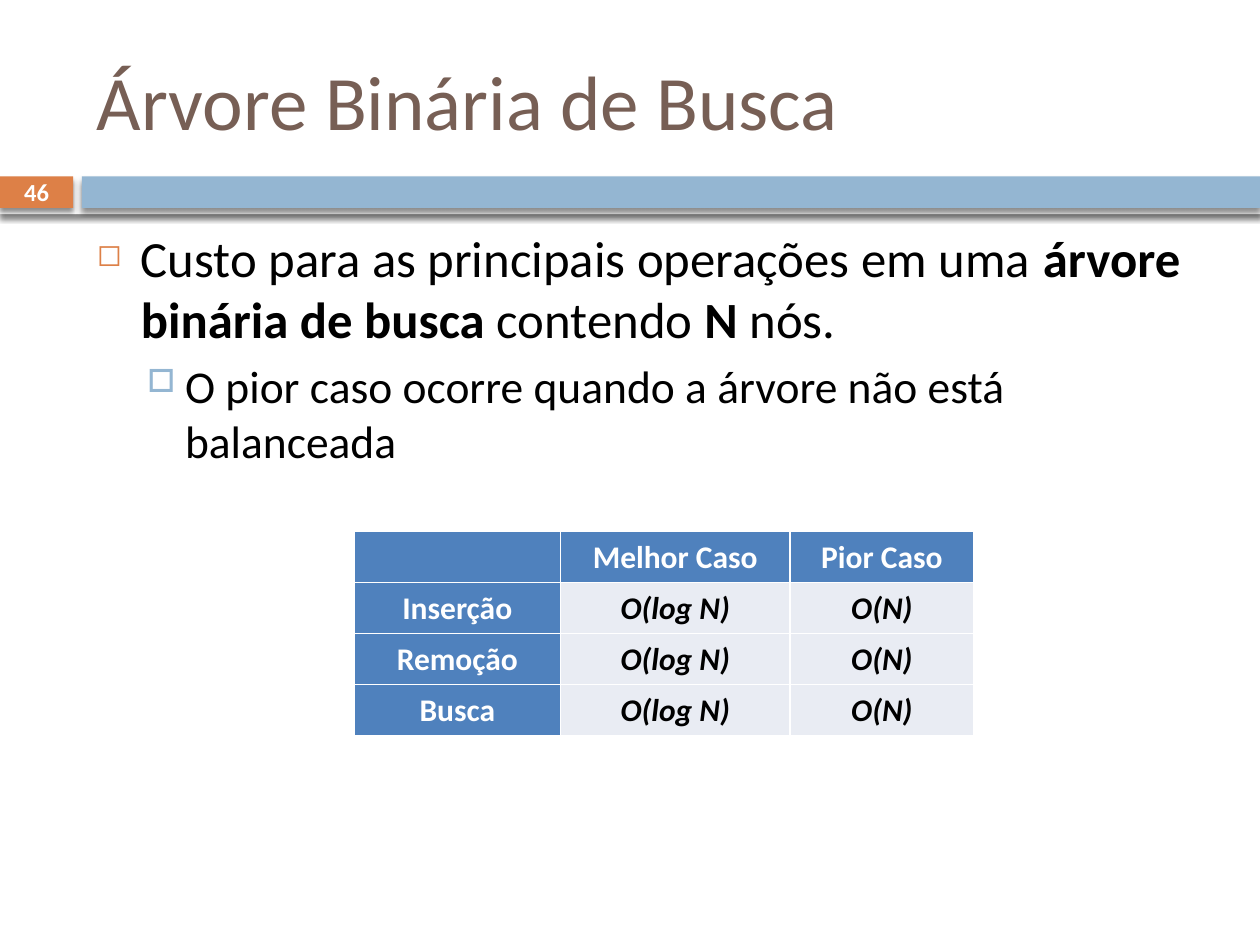
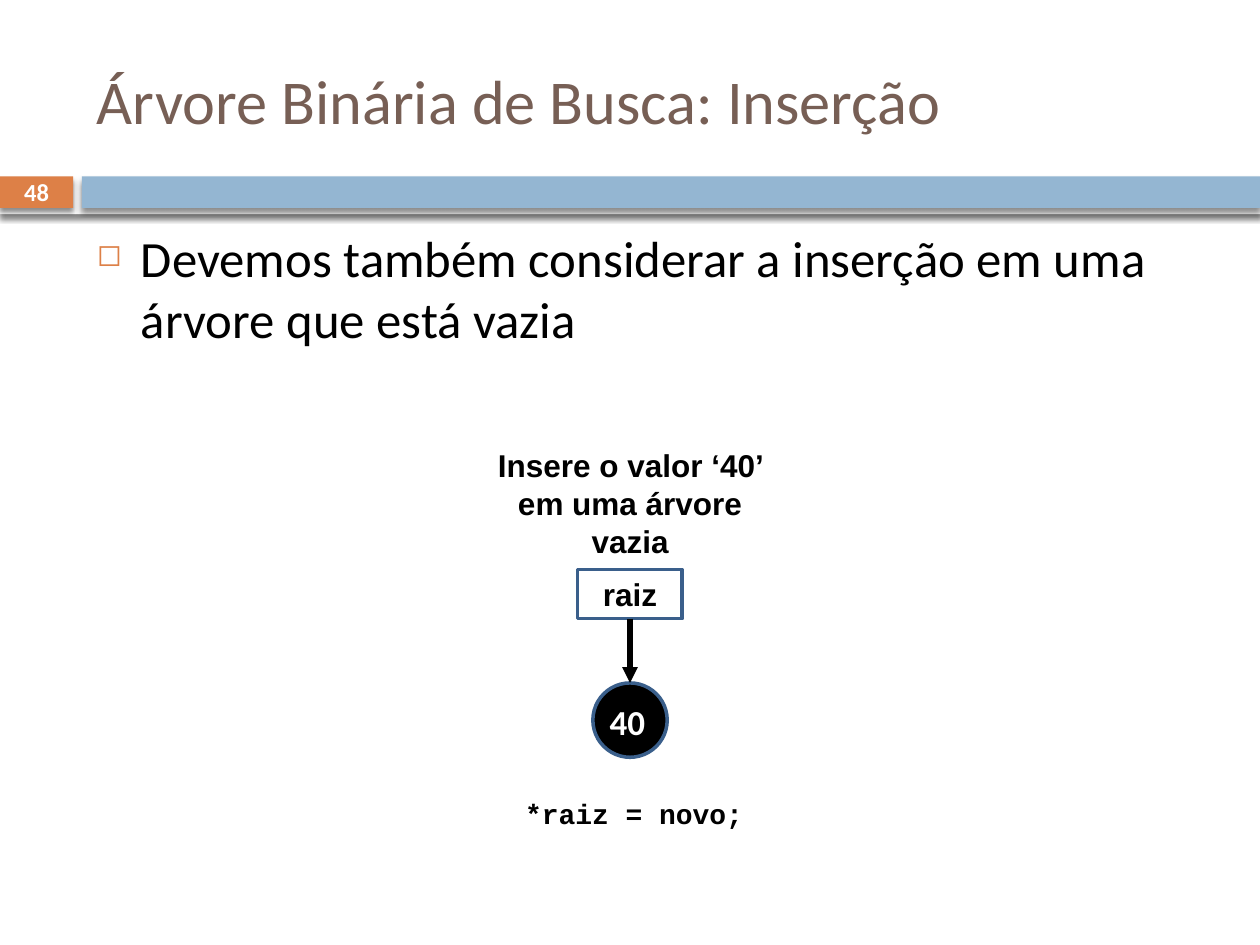
"""Build two slides about the cost of, and insertion into, a binary search tree."""
from dataclasses import dataclass
from typing import NamedTuple

from lxml import etree
from pptx import Presentation
from pptx.dml.color import RGBColor
from pptx.enum.shapes import MSO_CONNECTOR, MSO_SHAPE
from pptx.enum.text import MSO_ANCHOR, PP_ALIGN
from pptx.oxml.ns import qn
from pptx.util import Emu, Inches, Pt

RECTANGLE, OVAL = MSO_SHAPE.RECTANGLE, MSO_SHAPE.OVAL
STRAIGHT = MSO_CONNECTOR.STRAIGHT
TOP, MIDDLE = MSO_ANCHOR.TOP, MSO_ANCHOR.MIDDLE
LEFT, CENTER = PP_ALIGN.LEFT, PP_ALIGN.CENTER
SIDE_TOP, SIDE_BOTTOM = 0, 2
GRID_COLUMNS, GRID_ROWS = 100, 75
SLIDE_WIDTH, SLIDE_HEIGHT = Inches(10), Inches(7.5)


@dataclass(frozen=True)
class Theme:
    """Colours, fonts, type sizes and line widths of the deck."""
    white: str = "FFFFFF"
    black: str = "000000"
    title: str = "775F55"
    orange: str = "DD8047"
    blue: str = "94B6D2"
    header: str = "4F81BD"
    cell: str = "E9ECF3"
    outline: str = "3A5F8B"
    text_font: str = "Calibri"
    label_font: str = "Arial"
    code_font: str = "Courier New"
    title_size: float = 44
    long_title_size: float = 35.6
    body_size: float = 29
    detail_size: float = 26
    node_size: float = 20
    label_size: float = 18
    code_size: float = 16
    number_size: float = 14
    outline_width: float = 2
    arrow_width: float = 3
    border_width: float = 0.96


THEME = Theme()


class Area(NamedTuple):
    """A place on the grid, in columns and rows."""
    column: float
    row: float
    columns: float
    rows: float

    def box(self) -> tuple:
        """Return left, top, width and height as lengths."""
        return (across(self.column), down(self.row),
                across(self.columns), down(self.rows))


class Style(NamedTuple):
    """The look of a run of text."""
    size: float
    color: str = THEME.black
    font: str = THEME.text_font
    bold: bool = False
    italic: bool = False


class Bullet(NamedTuple):
    """A bullet level: mark, colour, percentage, indents and gap above."""
    level: int
    mark: str
    color: str
    percent: int
    margin: float
    hanging: float
    gap: float
    style: Style


class Item(NamedTuple):
    """A bulleted paragraph of (text, bold) runs."""
    bullet: Bullet
    runs: tuple


class Label(NamedTuple):
    """A free text with its place and look."""
    text: str
    area: Area
    style: Style
    alignment: PP_ALIGN = LEFT
    anchor: MSO_ANCHOR = TOP


class Band(NamedTuple):
    """A shadowed strip below the title."""
    area: Area
    color: str


BANDS = (
    Band(Area(0, 13.5, 100, 3.5), THEME.white),
    Band(Area(0, 14, 5.8, 2.5), THEME.orange),
    Band(Area(6.5, 14, 93.5, 2.5), THEME.blue),
)
TITLE_AREA = Area(6.7, 2.5, 89.2, 10.8)
BODY_AREA = Area(6.7, 17.5, 89.2, 49.2)
NUMBER_AREA = Area(0, 13.9, 5.8, 2.7)
NUMBER_STYLE = Style(THEME.number_size, THEME.white, bold=True)

TOPIC = Bullet(0, "◻", THEME.orange, 60, 3.5, 3.5, 0, Style(THEME.body_size))
DETAIL = Bullet(1, "□", THEME.blue, 70, 7, 3, 5.5, Style(THEME.detail_size))

COST_ITEMS = (
    Item(TOPIC, (("Custo para as principais operações em uma ", False),
                 ("árvore binária de busca", True), (" contendo ", False),
                 ("N ", True), ("nós.", False))),
    Item(DETAIL, (("O pior caso ocorre quando a árvore não está balanceada", False),)),
)
COST_ROWS = (("", "Melhor Caso", "Pior Caso"),) + tuple(
    (operation, "O(log N)", "O(N)") for operation in ("Inserção", "Remoção", "Busca"))
COST_AREA = Area(28.1, 42.2, 49.2, 16.2)
COST_COLUMNS = (16.4, 18.2, 14.6)
HEADER_STYLE = Style(THEME.label_size, THEME.white, bold=True)
COST_STYLE = Style(THEME.label_size, bold=True, italic=True)

EMPTY_TREE_ITEMS = (
    Item(TOPIC, (("Devemos também considerar a inserção em uma árvore que está vazia", False),)),
)
LABEL_STYLE = Style(THEME.label_size, font=THEME.label_font, bold=True)
NODE_AREA = Area(47.05, 54.2, 5.9, 5.9)
ROOT_AREA = Area(45.85, 45.2, 8.3, 3.9)
TREE_LABELS = (
    Label("40", Area(47.4, 55.1, 5.1, 7.6),
          Style(THEME.node_size, THEME.white, bold=True)),
    Label("*raiz = novo;", Area(40.7, 62.7, 19.5, 3.6),
          Style(THEME.code_size, font=THEME.code_font, bold=True)),
    Label("Insere o valor ‘40’ em uma árvore vazia",
          Area(37.4, 34.9, 25.2, 10), LABEL_STYLE, CENTER),
)


def across(columns: float) -> Emu:
    """Turn grid columns into a length."""
    return Emu(round(SLIDE_WIDTH * columns / GRID_COLUMNS))


def down(rows: float) -> Emu:
    """Turn grid rows into a length."""
    return Emu(round(SLIDE_HEIGHT * rows / GRID_ROWS))


def add_element(parent, tag: str, **attributes):
    """Append a drawing element to its parent."""
    return etree.SubElement(parent, qn(tag), attributes)


def add_run(paragraph, text: str, style: Style) -> None:
    """Add one styled run to a paragraph."""
    run = paragraph.add_run()
    run.text = text
    run.font.name = style.font
    run.font.size = Pt(style.size)
    run.font.bold = style.bold
    run.font.italic = style.italic
    run.font.color.rgb = RGBColor.from_string(style.color)


def add_label(slide, label: Label) -> None:
    """Add a wrapped text box holding one run."""
    frame = slide.shapes.add_textbox(*label.area.box()).text_frame
    frame.word_wrap = True
    frame.vertical_anchor = label.anchor
    frame.paragraphs[0].alignment = label.alignment
    add_run(frame.paragraphs[0], label.text, label.style)


def add_outlined(slide, preset: MSO_SHAPE, area: Area):
    """Add an unfilled shape with the diagram's outline."""
    shape = slide.shapes.add_shape(preset, *area.box())
    shape.shadow.inherit = False
    shape.fill.background()
    shape.line.color.rgb = RGBColor.from_string(THEME.outline)
    shape.line.width = Pt(THEME.outline_width)
    return shape


def add_band(slide, band: Band) -> None:
    """Add a strip with a soft shadow below it."""
    shape = slide.shapes.add_shape(RECTANGLE, *band.area.box())
    shape.fill.solid()
    shape.fill.fore_color.rgb = RGBColor.from_string(band.color)
    shape.line.fill.background()
    shape.shadow.inherit = False
    effects = shape._element.spPr.find(qn("a:effectLst"))
    shadow = add_element(effects, "a:outerShdw", blurRad=str(Pt(3)), dist=str(Pt(2.4)),
                         dir="5400000", rotWithShape="0")
    color = add_element(shadow, "a:srgbClr", val=THEME.black)
    add_element(color, "a:alpha", val="45000")


def add_items(slide, items: tuple) -> None:
    """Add the bulleted body text."""
    frame = slide.shapes.add_textbox(*BODY_AREA.box()).text_frame
    frame.word_wrap = True
    for index, item in enumerate(items):
        paragraph = frame.add_paragraph() if index else frame.paragraphs[0]
        bullet = item.bullet
        paragraph.level = bullet.level
        properties = paragraph._p.get_or_add_pPr()
        properties.set("marL", str(across(bullet.margin)))
        properties.set("indent", str(-across(bullet.hanging)))
        color = add_element(properties, "a:buClr")
        add_element(color, "a:srgbClr", val=bullet.color)
        add_element(properties, "a:buSzPct", val=str(bullet.percent * 1000))
        add_element(properties, "a:buChar", char=bullet.mark)
        paragraph.space_before = Pt(bullet.gap)
        for text, bold in item.runs:
            add_run(paragraph, text, bullet.style._replace(bold=bold))


def add_page(presentation, title: str, size: float, number: str, items: tuple):
    """Add a slide with bands, title, body text and number."""
    slide = presentation.slides.add_slide(presentation.slide_layouts[6])
    for band in BANDS:
        add_band(slide, band)
    add_label(slide, Label(title, TITLE_AREA, Style(size, THEME.title), anchor=MIDDLE))
    add_items(slide, items)
    add_label(slide, Label(number, NUMBER_AREA, NUMBER_STYLE, CENTER, MIDDLE))
    return slide


def fill_cell(cell, text: str, is_header: bool) -> None:
    """Give a table cell its borders, fill and text."""
    properties = cell._tc.get_or_add_tcPr()
    for side in ("a:lnL", "a:lnR", "a:lnT", "a:lnB"):
        border = add_element(properties, side, w=str(Pt(THEME.border_width)))
        add_element(add_element(border, "a:solidFill"), "a:srgbClr", val=THEME.white)
    cell.fill.solid()
    cell.fill.fore_color.rgb = RGBColor.from_string(THEME.header if is_header else THEME.cell)
    paragraph = cell.text_frame.paragraphs[0]
    paragraph.alignment = CENTER
    if text:
        add_run(paragraph, text, HEADER_STYLE if is_header else COST_STYLE)


def add_cost_table(slide) -> None:
    """Add the table of best and worst cases."""
    table = slide.shapes.add_table(len(COST_ROWS), len(COST_COLUMNS), *COST_AREA.box()).table
    table.horz_banding = False
    table.first_col = True
    for column, columns in zip(table.columns, COST_COLUMNS):
        column.width = across(columns)
    for row_index, texts in enumerate(COST_ROWS):
        for column_index, text in enumerate(texts):
            fill_cell(table.cell(row_index, column_index), text,
                      row_index == 0 or column_index == 0)


def add_tree(slide) -> None:
    """Add the root pointer, its arrow and the new node."""
    node = add_outlined(slide, OVAL, NODE_AREA)
    node.fill.solid()
    node.fill.fore_color.rgb = RGBColor.from_string(THEME.black)
    root = add_outlined(slide, RECTANGLE, ROOT_AREA)
    root.text_frame.vertical_anchor = MIDDLE
    root.text_frame.paragraphs[0].alignment = CENTER
    add_run(root.text_frame.paragraphs[0], "raiz", LABEL_STYLE)
    arrow = slide.shapes.add_connector(STRAIGHT, 0, 0, 0, 0)
    arrow.begin_connect(root, SIDE_BOTTOM)
    arrow.end_connect(node, SIDE_TOP)
    arrow.line.color.rgb = RGBColor.from_string(THEME.black)
    arrow.line.width = Pt(THEME.arrow_width)
    properties = arrow._element.spPr
    add_element(properties.find(qn("a:ln")), "a:tailEnd", type="triangle")
    add_element(properties, "a:effectLst")
    for label in TREE_LABELS:
        add_label(slide, label)


def main() -> None:
    """Build and save the presentation."""
    presentation = Presentation()
    presentation.slide_width, presentation.slide_height = SLIDE_WIDTH, SLIDE_HEIGHT
    add_cost_table(add_page(presentation, "Árvore Binária de Busca",
                            THEME.title_size, "46", COST_ITEMS))
    add_tree(add_page(presentation, "Árvore Binária de Busca: Inserção",
                      THEME.long_title_size, "48", EMPTY_TREE_ITEMS))
    presentation.save("out.pptx")


if __name__ == "__main__":
    main()
